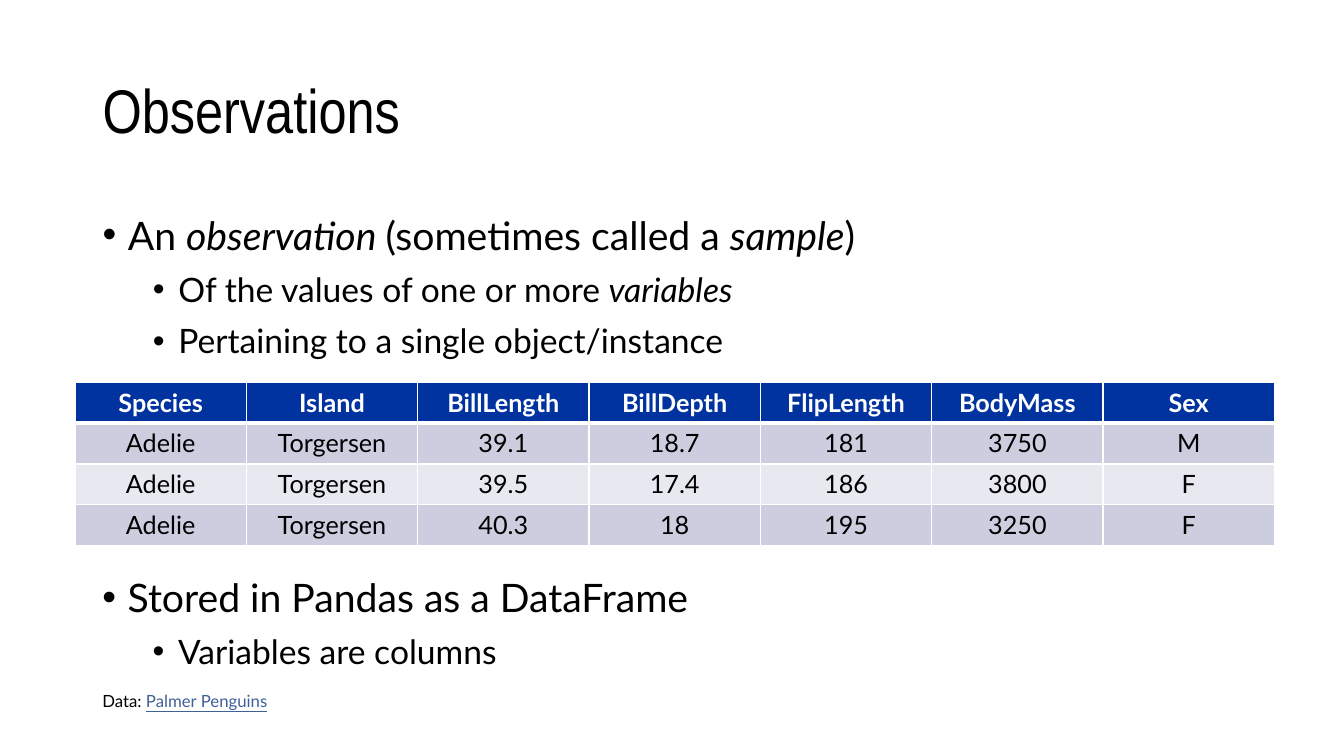
from lxml import etree
from pptx import Presentation
from pptx.dml.color import RGBColor
from pptx.enum.text import MSO_ANCHOR, MSO_AUTO_SIZE, PP_ALIGN
from pptx.oxml.ns import qn
from pptx.util import Cm, Pt

LEFT, CENTER = PP_ALIGN.LEFT, PP_ALIGN.CENTER
TOP, MIDDLE = MSO_ANCHOR.TOP, MSO_ANCHOR.MIDDLE
NO_FIT = MSO_AUTO_SIZE.NONE

BLACK, WHITE, BLUE, LINK = "000000", "FFFFFF", "0033A0", "406098"
BANDS = ["CCCEDF", "E7E8F0"]
MARGIN, TEXT_WIDTH = Cm(2.33), Cm(29.21)

# Per list level: text size, space before, left indent
LEVELS = [(28, 10, 0.64), (24, 5, 1.91)]


def add_run(paragraph, text, size, color=BLACK, face="Lato", **formats):
    run = paragraph.add_run()
    run.text = text
    values = {"name": face, "size": Pt(size), "bold": False, "italic": False, **formats}
    for key, value in values.items():
        setattr(run.font, key, value)
    run.font.color.rgb = RGBColor.from_string(color)


def write_list(frame, items):
    frame.word_wrap = True
    frame.auto_size = NO_FIT
    frame.vertical_anchor = TOP
    for number, (level, pieces) in enumerate(items):
        paragraph = frame.paragraphs[0] if number == 0 else frame.add_paragraph()
        size, space, indent = LEVELS[level]
        values = {"level": level, "alignment": LEFT, "line_spacing": 1.1,
                  "space_before": Pt(space), "space_after": Pt(0)}
        for key, value in values.items():
            setattr(paragraph, key, value)
        properties = paragraph._p.get_or_add_pPr()
        properties.set("marL", str(Cm(indent)))
        properties.set("indent", str(Cm(-0.64)))
        etree.SubElement(properties, qn("a:buFont"), typeface="Arial")
        etree.SubElement(properties, qn("a:buChar"), char="•")
        # Every second piece is emphasised
        for position, piece in enumerate(pieces):
            add_run(paragraph, piece, size, italic=position % 2 == 1)


presentation = Presentation()
presentation.slide_width, presentation.slide_height = Cm(33.87), Cm(19.05)
slide = presentation.slides.add_slide(presentation.slide_layouts[1])

# Title
title = slide.shapes.title
title.left, title.top, title.width, title.height = MARGIN, Cm(1.01), TEXT_WIDTH, Cm(3.68)
heading = title.text_frame
heading.vertical_anchor = MIDDLE
heading.auto_size = NO_FIT
heading.paragraphs[0].alignment = LEFT
heading.paragraphs[0].line_spacing = 0.9
add_run(heading.paragraphs[0], "Observations", 44, face="Arial Narrow")

# Definition of an observation
definition = slide.placeholders[1]
definition.left, definition.top = MARGIN, Cm(5.07)
definition.width, definition.height = TEXT_WIDTH, Cm(4.11)
write_list(definition.text_frame, [
    (0, ["An ", "observation ", "(sometimes called a ", "sample", ")"]),
    (1, ["Of the values of one or more ", "variables"]),
    (1, ["Pertaining to a single object/instance"]),
])

# Penguin table
PENGUINS = [
    ["Species", "Island", "BillLength", "BillDepth", "FlipLength", "BodyMass", "Sex"],
    ["Adelie", "Torgersen", "39.1", "18.7", "181", "3750", "M"],
    ["Adelie", "Torgersen", "39.5", "17.4", "186", "3800", "F"],
    ["Adelie", "Torgersen", "40.3", "18", "195", "3250", "F"],
]
penguins = slide.shapes.add_table(
    len(PENGUINS), len(PENGUINS[0]), Cm(1.89), Cm(9.63), Cm(30.23), Cm(4.12)).table
for row, record in enumerate(PENGUINS):
    is_header = row == 0
    for column, entry in enumerate(record):
        cell = penguins.cell(row, column)
        # White borders, thick below the header
        borders = {"a:lnL": 1, "a:lnR": 1, "a:lnT": 3 if row == 1 else 1,
                   "a:lnB": 3 if is_header else 1}
        for side, width in borders.items():
            border = etree.SubElement(cell._tc.get_or_add_tcPr(), qn(side), w=str(Pt(width)))
            border_fill = etree.SubElement(border, qn("a:solidFill"))
            etree.SubElement(border_fill, qn("a:srgbClr"), val=WHITE)
        cell.fill.solid()
        cell.fill.fore_color.rgb = RGBColor.from_string(
            BLUE if is_header else BANDS[(row - 1) % 2])
        paragraph = cell.text_frame.paragraphs[0]
        paragraph.alignment = CENTER
        add_run(paragraph, entry, 18, WHITE if is_header else BLACK, bold=is_header)

# Storage in Pandas
storage = slide.shapes.add_textbox(MARGIN, Cm(14.2), TEXT_WIDTH, Cm(4.11))
write_list(storage.text_frame, [
    (0, ["Stored in Pandas as a DataFrame"]),
    (1, ["Variables are columns"]),
])

# Data credit
credit = slide.shapes.add_textbox(MARGIN, Cm(17.27), Cm(20.88), Cm(0.77))
credit.text_frame.word_wrap = True
credit_line = credit.text_frame.paragraphs[0]
add_run(credit_line, "Data: ", 12)
add_run(credit_line, "Palmer Penguins", 12, LINK, underline=True)

presentation.save("out.pptx")
